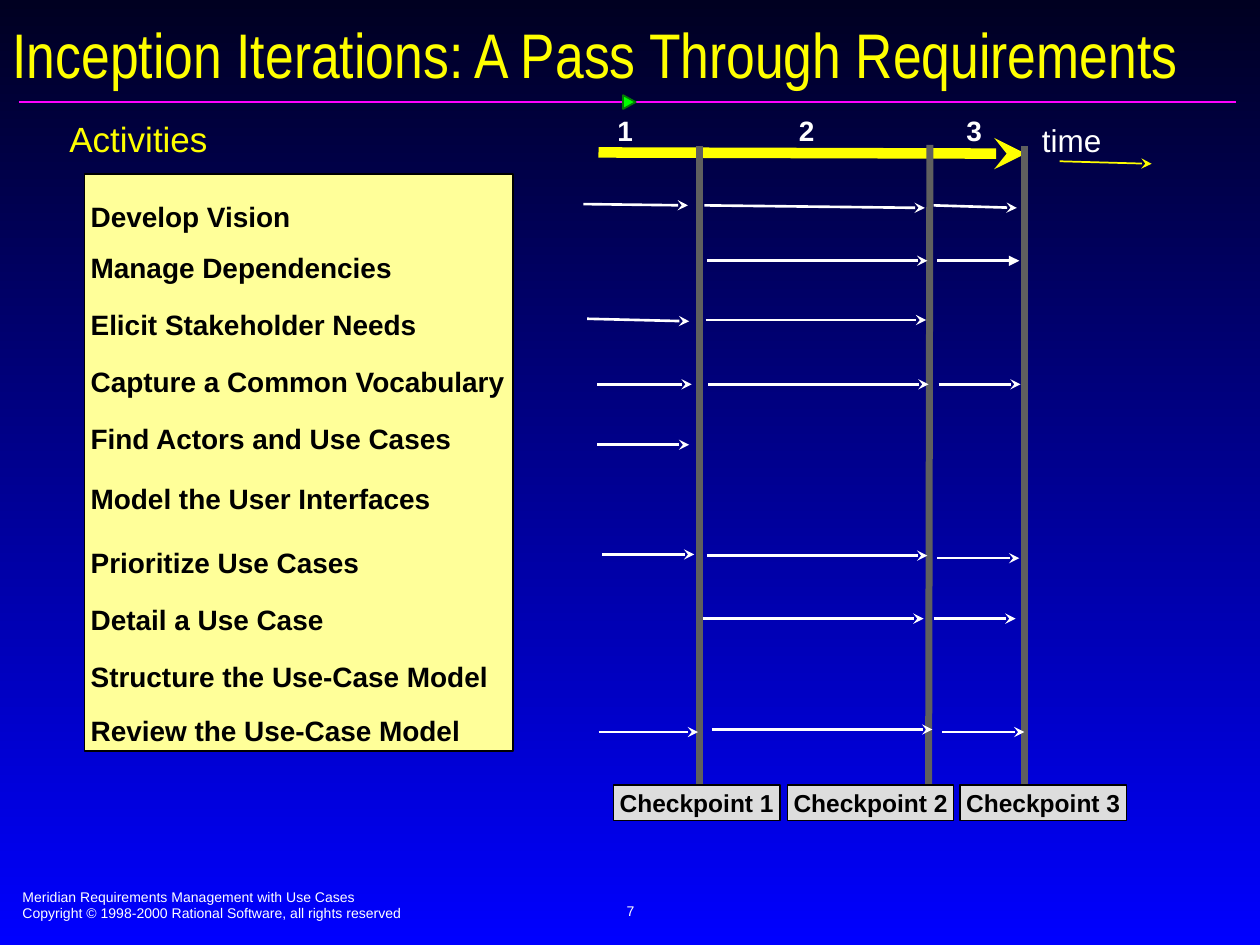
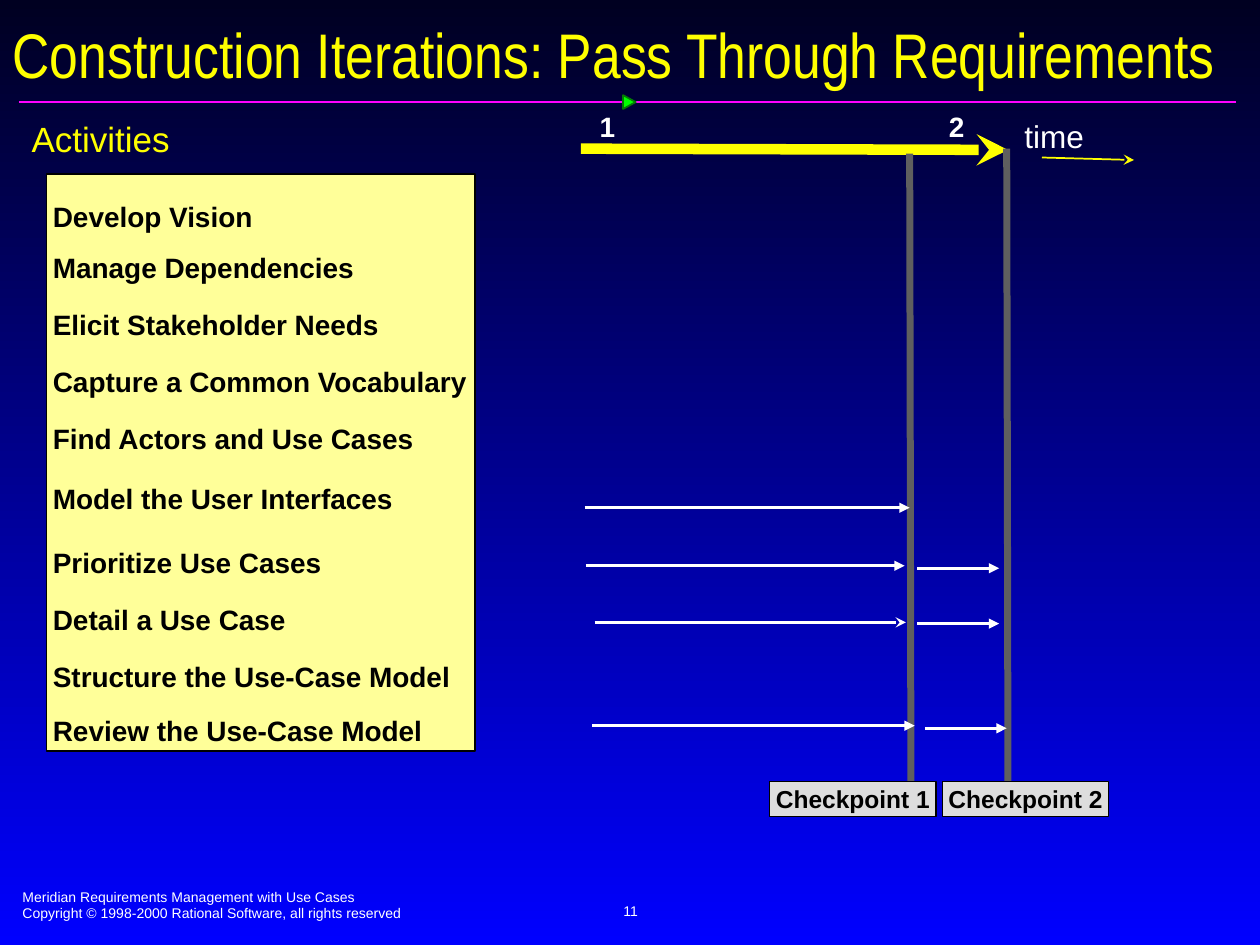
"""Build two slides that chart passes through requirements over time."""
from lxml import etree
from pptx import Presentation
from pptx.dml.color import RGBColor
from pptx.enum import shapes, text
from pptx.oxml import ns
from pptx.util import Inches, Pt

WHITE, BLACK, YELLOW = "FFFFFF", "000000", "FFFF00"
CREAM, SILVER, GREY = "FFFF99", "DDDDDD", "5F5F5F"
PINK, GREEN, MOSS = "FF01FF", "00FF00", "037C03"
NAVY, BLUE = "000021", "0000FF"
LEFT, MID = text.PP_ALIGN.LEFT, text.PP_ALIGN.CENTER

TASKS = [
    ("Develop Vision", 1.7),
    ("Manage Dependencies", 1.5),
    ("Elicit Stakeholder Needs", 1.7),
    ("Capture a Common Vocabulary", 1.7),
    ("Find Actors and Use Cases", 1.7),
    ("Model the User Interfaces", 1.8),
    ("Prioritize Use Cases", 1.9),
    ("Detail a Use Case", 1.7),
    ("Structure the Use-Case Model", 1.7),
    ("Review the Use-Case Model", 1.6),
]
FOOTER = [
    "Meridian Requirements Management with Use Cases",
    "Copyright © 1998-2000 Rational Software, all rights reserved",
]
GATES = [0.03, 1.41, 2.78]

INCEPTION = {
    "title": "Inception Iterations: A Pass Through Requirements",
    "page": "7", "list": 0.67, "chart": (4.84, 0.92),
    "marks": "1\t2\t3", "gates": GATES,
    "bars": [(0.71, 0.24, 0.71, 5.34), (2.54, 0.23, 2.53, 5.44),
             (3.29, 0.24, 3.29, 5.4)],
    "spans": {
        "stealth": [
            (-0.21, 0.7, 0.83, 0.01), (0.75, 0.71, 1.75, 0.02),
            (2.57, 0.71, 0.66, 0.02),
            (0.77, 1.15, 1.75, 0),
            (-0.18, 1.61, 0.81, 0.02), (0.76, 1.62, 1.75, 0),
            (-0.1, 2.13, 0.75, 0), (0.78, 2.13, 1.75, 0),
            (2.61, 2.13, 0.65, 0),
            (-0.1, 2.61, 0.73, 0),
            (-0.06, 3.48, 0.73, 0), (0.77, 3.49, 1.75, 0),
            (2.6, 3.51, 0.65, 0),
            (0.74, 3.99, 1.75, 0), (2.57, 3.99, 0.65, 0),
            (-0.09, 4.89, 0.79, 0), (0.81, 4.87, 1.75, 0),
            (2.64, 4.89, 0.65, 0),
        ],
        "triangle": [(2.6, 1.15, 0.65, 0)],
    },
}
BUILD = {
    "title": "Construction Iterations: Pass Through Requirements",
    "page": "11", "list": 0.37, "chart": (4.7, 0.89),
    "marks": "1\t\t2", "gates": GATES[1:],
    "bars": [(2.52, 0.33, 2.53, 5.45), (3.29, 0.29, 3.3, 5.43)],
    "spans": {
        "stealth": [(0.02, 4.05, 2.47, 0)],
        "triangle": [
            (-0.06, 3.14, 2.58, 0),
            (-0.05, 3.6, 2.53, 0), (2.58, 3.62, 0.65, 0),
            (2.58, 4.06, 0.65, 0),
            (0, 4.87, 2.56, 0), (2.64, 4.89, 0.65, 0),
        ],
    },
}


def paint(target, color):
    """Give a fill a solid colour from a hex string."""
    target.solid()
    target.fore_color.rgb = RGBColor.from_string(color)


def style(para, size, color, bold=False, face="Arial", align=LEFT, lead=None):
    """Set the font, alignment and line spacing of one paragraph."""
    para.alignment = align
    if lead:
        para.line_spacing = lead
    font = para.font
    font.size, font.name, font.bold = Pt(size), face, bold
    paint(font.fill, color)


def pad(frame, side, edge, wrap=True, anchor=text.MSO_ANCHOR.TOP):
    """Set the insets, wrapping and anchor of a text frame."""
    frame.margin_left = frame.margin_right = Inches(side)
    frame.margin_top = frame.margin_bottom = Inches(edge)
    frame.word_wrap = wrap
    frame.vertical_anchor = anchor
    frame.auto_size = text.MSO_AUTO_SIZE.NONE


def fill(frame, lines):
    """Write one paragraph a line and return the paragraphs."""
    frame.text = "\n".join(lines)
    return frame.paragraphs


def label(slide, box, lines, side=0.06, edge=0.03, **kind):
    """Add a text box and return its paragraphs."""
    frame = slide.shapes.add_textbox(*map(Inches, box)).text_frame
    pad(frame, side, edge, **kind)
    return fill(frame, lines)


def block(slide, kind, box, color, edge, width):
    """Add a filled and outlined preset shape."""
    shape = slide.shapes.add_shape(kind, *map(Inches, box))
    shape.shadow.inherit = False
    paint(shape.fill, color)
    paint(shape.line.fill, edge)
    shape.line.width = Pt(width)
    return shape


def panel(slide, box, lines, color, width):
    """Add a bordered panel and return its paragraphs."""
    shape = block(slide, shapes.MSO_SHAPE.RECTANGLE, box, color, BLACK, width)
    pad(shape.text_frame, 0.05, 0.02, wrap=False)
    return fill(shape.text_frame, lines)


def stroke(slide, ends, color, width, head=None):
    """Add a straight line with an optional arrowhead."""
    line = slide.shapes.add_connector(
        shapes.MSO_CONNECTOR.STRAIGHT, *map(Inches, ends))
    paint(line.line.fill, color)
    line.line.width = Pt(width)
    if head:
        etree.SubElement(line.line._ln, ns.qn("a:tailEnd"), type=head)
    etree.SubElement(line._element.spPr, ns.qn("a:effectLst"))


def stops(para, places):
    """Add left tab stops to a paragraph."""
    tabs = etree.SubElement(para._p.get_or_add_pPr(), ns.qn("a:tabLst"))
    for place in places:
        etree.SubElement(tabs, ns.qn("a:tab"), pos=str(Inches(place)), algn="l")


def backdrop(master):
    """Give the master its vertical gradient."""
    blend = master.background.fill
    blend.gradient()
    blend.gradient_angle = 270
    for stop, color in zip(blend.gradient_stops, (NAVY, BLUE)):
        stop.color.rgb = RGBColor.from_string(color)


def furnish(slide, title, page):
    """Add the title, rule, footer and page number."""
    head = slide.shapes.title
    head.left, head.top, head.width, head.height = map(
        Inches, (0.1, 0.14, 9.84, 0.58))
    pad(head.text_frame, 0, 0, anchor=text.MSO_ANCHOR.BOTTOM)
    style(fill(head.text_frame, [title])[0], 36, YELLOW, face="Arial Narrow")
    stroke(slide, (0.15, 0.81, 9.81, 0.81), PINK, 1)
    block(slide, shapes.MSO_SHAPE.ISOSCELES_TRIANGLE,
          (4.94, 0.76, 0.11, 0.1), GREEN, MOSS, 1).rotation = 90
    for para in label(slide, (0.08, 7, 5.1, 0.37), FOOTER, 0.1, 0.05):
        style(para, 8, WHITE)
    para = label(slide, (3.42, 6.98, 3.17, 0.5), [page], 0.1, 0.05,
                 anchor=text.MSO_ANCHOR.MIDDLE)[0]
    style(para, 8, WHITE, align=MID)


def tasks(slide, left, top):
    """Add the heading and the panel of activities."""
    para = label(slide, (left - 0.18, top - 0.41, 1.59, 0.33), ["Activities"])[0]
    style(para, 20, YELLOW, lead=0.8)
    names = [name for name, lead in TASKS]
    paras = panel(slide, (left, top, 3.4, 4.58), names, CREAM, 1)
    for para, (name, lead) in zip(paras, TASKS):
        style(para, 16, BLACK, bold=True, lead=lead)


def chart(slide, left, top, marks, bars, gates, spans):
    """Add the time axis, checkpoints and activity arrows."""
    def draw(ends, *look):
        """Draw a line measured from the corner of the chart."""
        x1, y1, x2, y2 = ends
        stroke(slide, (left + x1, top + y1, left + x2, top + y2), *look)

    draw((-0.09, 0.29, 3.3, 0.3), YELLOW, 6, "stealth")
    for bar in bars:
        draw(bar, GREY, 4)
    for count, x in enumerate(gates, 1):
        box = (left + x, top + 5.31, 1.32, 0.28)
        para = panel(slide, box, [f"Checkpoint {count}"], SILVER, 0.75)[0]
        style(para, 14, BLACK, bold=True, align=MID)
    para = label(slide, (left, top, 3.02, 0.28), [marks])[0]
    stops(para, (1.44, 2.77))
    style(para, 16, WHITE, bold=True, lead=0.8)
    draw((3.57, 0.36, 4.3, 0.38), YELLOW, 1, "stealth")
    para = label(slide, (left + 3.37, top + 0.07, 0.97, 0.3), ["time"])[0]
    style(para, 18, WHITE, lead=0.8)
    for head, group in spans.items():
        for x, y, length, drop in group:
            draw((x, y, x + length, y + drop), WHITE, 1.5, head)


def main():
    """Build and save the slides."""
    deck = Presentation()
    deck.slide_width, deck.slide_height = Inches(10), Inches(7.5)
    backdrop(deck.slide_master)
    for phase in (INCEPTION, BUILD):
        slide = deck.slides.add_slide(deck.slide_layouts[5])
        furnish(slide, phase["title"], phase["page"])
        tasks(slide, phase["list"], 1.38)
        chart(slide, *phase["chart"], phase["marks"], phase["bars"],
              phase["gates"], phase["spans"])
    deck.save("out.pptx")


if __name__ == "__main__":
    main()
